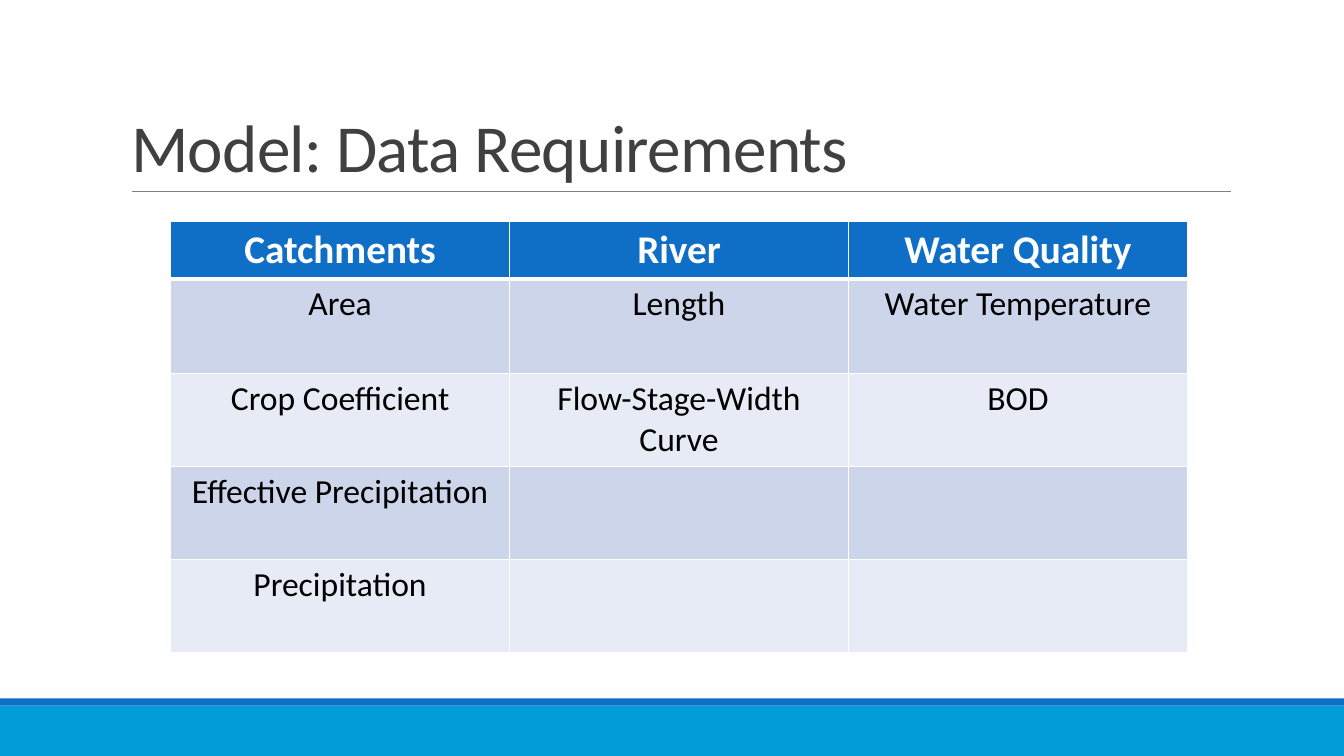
"""Build the data requirements slide."""
from dataclasses import dataclass

from lxml import etree
from pptx import Presentation
from pptx.dml.color import RGBColor
from pptx.enum import shapes, text
from pptx.oxml import ns
from pptx.util import Pt


@dataclass(frozen=True)
class Theme:
    """Hold the font, colours and type sizes."""
    font: str = "Calibri"
    blue: str = "0F6FC6"
    cyan: str = "009DD9"
    rule: str = "808080"
    heading: str = "404040"
    body: str = "000000"
    white: str = "FFFFFF"
    bands: tuple = ("CCD5EA", "E7EBF5")
    title_size: int = 48
    header_size: int = 28
    body_size: int = 24


THEME = Theme()
ROWS = [
    ("Catchments", "River", "Water Quality"),
    ("Area", "Length", "Water Temperature"),
    ("Crop Coefficient", "Flow-Stage-Width Curve", "BOD"),
    ("Effective Precipitation", "", ""),
    ("Precipitation", "", ""),
]
ROW_HEIGHTS = (41.3, 67.4, 66.4, 66.4, 66.4)
COLUMN_WIDTH = 242.1


def write_text(frame, content, *, size, color, bold=False, spacing=None,
               align=text.PP_ALIGN.CENTER, line_spacing=None):
    """Write one formatted paragraph into a text frame."""
    paragraph = frame.paragraphs[0]
    paragraph.alignment = align
    paragraph.line_spacing = line_spacing
    paragraph.font.size = Pt(size)
    if not content:
        return
    run = paragraph.add_run()
    run.text = content
    run.font.name = THEME.font
    run.font.size = Pt(size)
    run.font.bold = bold
    run.font.color.rgb = RGBColor.from_string(color)
    if spacing is not None:
        run.font._element.set("spc", str(int(spacing * 100)))


def add_bar(slide, top, height, color):
    """Add a full-width footer bar."""
    bar = slide.shapes.add_shape(shapes.MSO_SHAPE.RECTANGLE,
                                 0, Pt(top), Pt(960), Pt(height))
    bar.shadow.inherit = False
    bar.fill.solid()
    bar.fill.fore_color.rgb = RGBColor.from_string(color)
    bar.line.fill.background()


def add_rule(slide, left, right, top):
    """Add the thin line under the title."""
    line = slide.shapes.add_connector(shapes.MSO_CONNECTOR.STRAIGHT,
                                      Pt(left), Pt(top), Pt(right), Pt(top))
    line.line.color.rgb = RGBColor.from_string(THEME.rule)
    line.line.width = Pt(0.5)
    etree.SubElement(line._element.spPr, ns.qn("a:effectLst"))


def set_title(slide, content):
    """Place and format the title placeholder."""
    title = slide.shapes.title
    title.left, title.top = Pt(86.4), Pt(22.5)
    title.width, title.height = Pt(792), Pt(114.2)
    frame = title.text_frame
    frame.auto_size = text.MSO_AUTO_SIZE.NONE
    frame.vertical_anchor = text.MSO_ANCHOR.BOTTOM
    write_text(frame, content, size=THEME.title_size, color=THEME.heading,
               align=text.PP_ALIGN.LEFT, spacing=-0.5, line_spacing=0.85)


def set_borders(cell, top, bottom):
    """Draw white cell borders, with given top and bottom widths."""
    properties = cell._tc.get_or_add_tcPr()
    for side, width in (("L", 1), ("R", 1), ("T", top), ("B", bottom)):
        line = etree.SubElement(properties, ns.qn(f"a:ln{side}"), w=str(Pt(width)))
        fill = etree.SubElement(line, ns.qn("a:solidFill"))
        etree.SubElement(fill, ns.qn("a:srgbClr"), val=THEME.white)


def add_requirements_table(slide, left, top):
    """Add the table with a header row and banded body rows."""
    columns = len(ROWS[0])
    table = slide.shapes.add_table(
        len(ROWS), columns, Pt(left), Pt(top),
        Pt(columns * COLUMN_WIDTH), Pt(sum(ROW_HEIGHTS))).table
    for column in table.columns:
        column.width = Pt(COLUMN_WIDTH)
    for index, (labels, height) in enumerate(zip(ROWS, ROW_HEIGHTS)):
        table.rows[index].height = Pt(height)
        header = index == 0
        fill = THEME.blue if header else THEME.bands[(index - 1) % 2]
        for cell, label in zip(table.rows[index].cells, labels):
            set_borders(cell, 3 if index == 1 else 1, 3 if header else 1)
            cell.fill.solid()
            cell.fill.fore_color.rgb = RGBColor.from_string(fill)
            write_text(cell.text_frame, label, bold=header,
                       size=THEME.header_size if header else THEME.body_size,
                       color=THEME.white if header else THEME.body)


def main():
    """Build and save the slide."""
    presentation = Presentation()
    presentation.slide_width, presentation.slide_height = Pt(960), Pt(540)
    slide = presentation.slides.add_slide(presentation.slide_layouts[5])
    add_bar(slide, 504, 36, THEME.cyan)
    add_bar(slide, 498.8, 5.2, THEME.blue)
    add_rule(slide, 94.3, 879, 136.8)
    set_title(slide, "Model: Data Requirements")
    add_requirements_table(slide, 121.9, 157.8)
    presentation.save("out.pptx")


if __name__ == "__main__":
    main()
